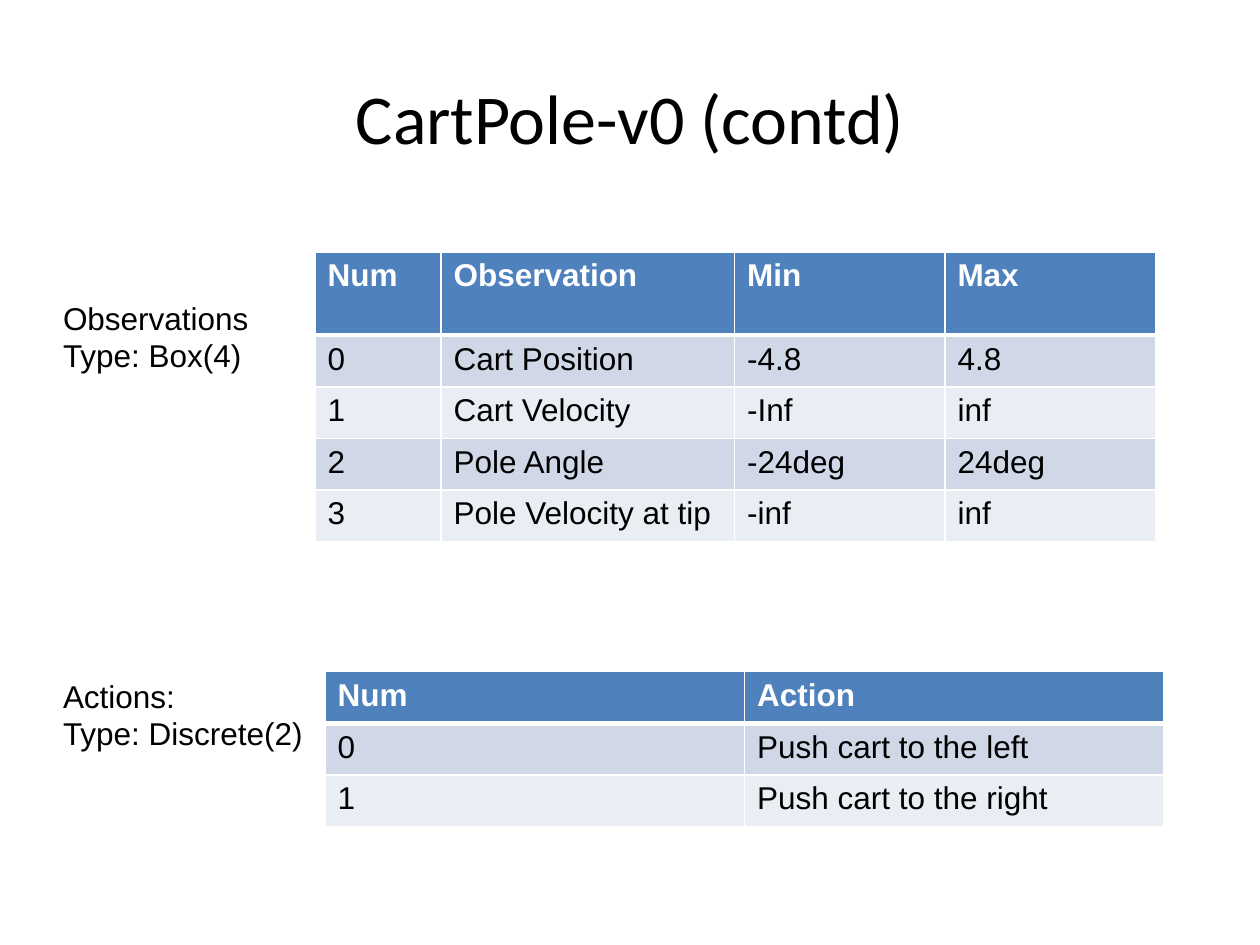
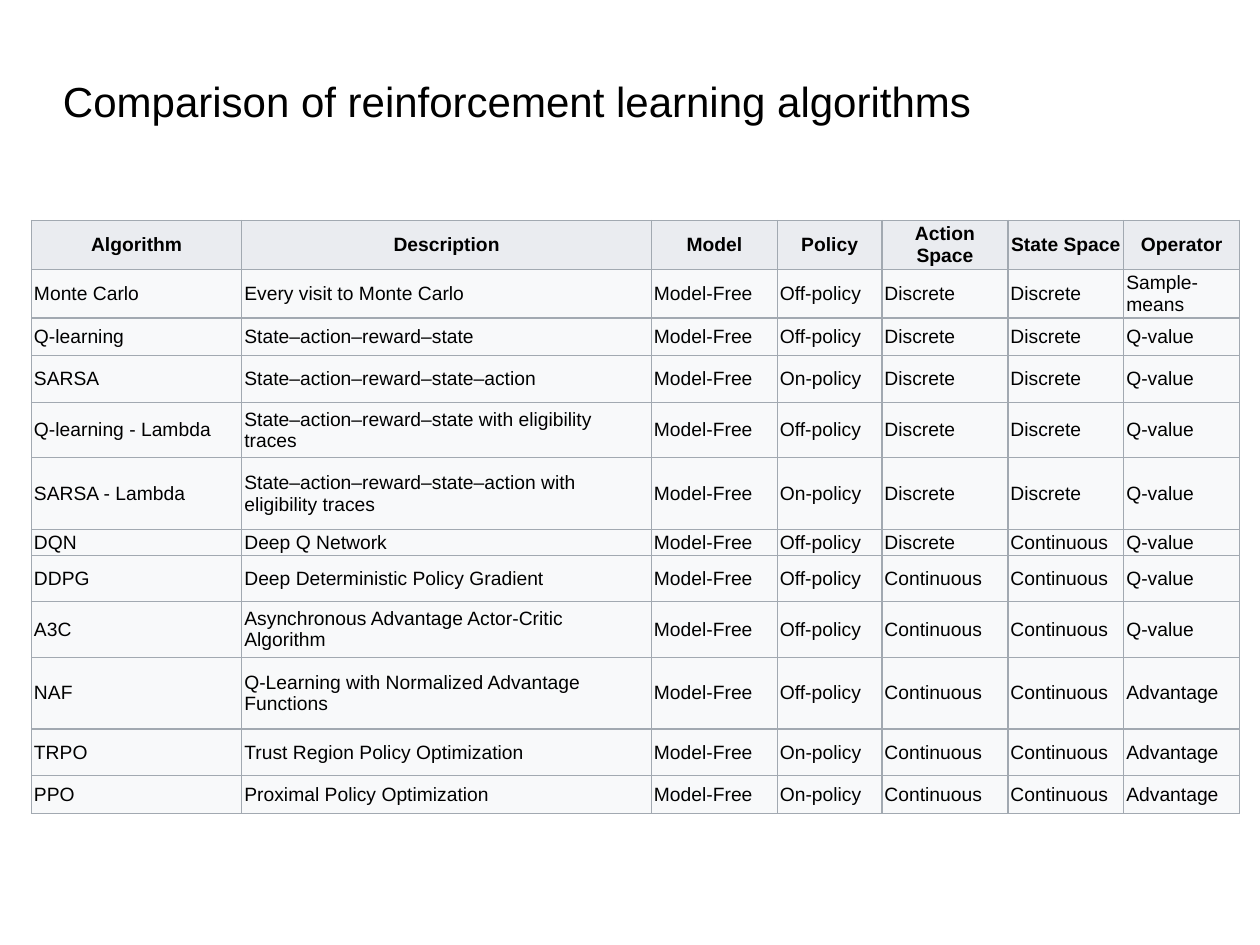
from dataclasses import dataclass

from lxml import etree
from pptx import Presentation
from pptx.dml.color import RGBColor
from pptx.enum import text
from pptx.oxml import ns
from pptx.util import Inches, Pt


# Colours, fonts and type sizes
@dataclass(frozen=True)
class Theme:
    body_font: str = "Arial"
    title_font: str = "Calibri"
    ink: str = "000000"
    white: str = "FFFFFF"
    blue: str = "4F81BD"
    bands: tuple = ("D0D8E8", "E9EDF4")
    grey_head: str = "EAECF0"
    grey_body: str = "F8F9FA"
    grey_line: str = "A2A9B1"
    title_size: int = 40
    subtitle_size: int = 24
    body_size: int = 18
    small_size: int = 11
    label_leading: float = 21.6


THEME = Theme()


@dataclass(frozen=True)
class TableStyle:
    size: int
    head_ink: str
    head_fill: str
    body_fills: tuple
    line: str
    line_width: float
    head_rule: float
    margins: tuple  # left/right, top/bottom
    anchor: text.MSO_ANCHOR
    head_align: text.PP_ALIGN


BLUE_TABLE = TableStyle(
    THEME.body_size, THEME.white, THEME.blue, THEME.bands, THEME.white, 1, 3,
    (0.1, 0.05), text.MSO_ANCHOR.TOP, text.PP_ALIGN.LEFT)
GREY_TABLE = TableStyle(
    THEME.small_size, THEME.ink, THEME.grey_head, (THEME.grey_body,), THEME.grey_line,
    0.75, 0.75, (0.02, 0.01), text.MSO_ANCHOR.MIDDLE, text.PP_ALIGN.CENTER)

# Slide content
OBSERVATIONS = [
    ("Num", "Observation", "Min", "Max"),
    ("0", "Cart Position", "-4.8", "4.8"),
    ("1", "Cart Velocity", "-Inf", "inf"),
    ("2", "Pole Angle", "-24deg", "24deg"),
    ("3", "Pole Velocity at tip", "-inf", "inf"),
]
ACTIONS = [
    ("Num", "Action"),
    ("0", "Push cart to the left"),
    ("1", "Push cart to the right"),
]
ALGORITHMS = [
    ("Algorithm", "Description", "Model", "Policy", "Action Space", "State Space", "Operator"),
    ("Monte Carlo", "Every visit to Monte Carlo",
     "Model-Free", "Off-policy", "Discrete", "Discrete", "Sample-means"),
    ("Q-learning", "State–action–reward–state",
     "Model-Free", "Off-policy", "Discrete", "Discrete", "Q-value"),
    ("SARSA", "State–action–reward–state–action",
     "Model-Free", "On-policy", "Discrete", "Discrete", "Q-value"),
    ("Q-learning - Lambda", "State–action–reward–state with eligibility traces",
     "Model-Free", "Off-policy", "Discrete", "Discrete", "Q-value"),
    ("SARSA - Lambda", "State–action–reward–state–action with eligibility traces",
     "Model-Free", "On-policy", "Discrete", "Discrete", "Q-value"),
    ("DQN", "Deep Q Network",
     "Model-Free", "Off-policy", "Discrete", "Continuous", "Q-value"),
    ("DDPG", "Deep Deterministic Policy Gradient",
     "Model-Free", "Off-policy", "Continuous", "Continuous", "Q-value"),
    ("A3C", "Asynchronous Advantage Actor-Critic Algorithm",
     "Model-Free", "Off-policy", "Continuous", "Continuous", "Q-value"),
    ("NAF", "Q-Learning with Normalized Advantage Functions",
     "Model-Free", "Off-policy", "Continuous", "Continuous", "Advantage"),
    ("TRPO", "Trust Region Policy Optimization",
     "Model-Free", "On-policy", "Continuous", "Continuous", "Advantage"),
    ("PPO", "Proximal Policy Optimization",
     "Model-Free", "On-policy", "Continuous", "Continuous", "Advantage"),
]
ALGORITHM_HEIGHTS = [0.37, 0.37, 0.3, 0.37, 0.44, 0.57, 0.19, 0.37, 0.44, 0.57, 0.37, 0.3]


# Text
def add_run(p, content, size, font=THEME.body_font, color=THEME.ink, bold=False):
    r = p.add_run()
    r.text = content
    r.font.size = Pt(size)
    r.font.name = font
    r.font.bold = bold
    r.font.color.rgb = RGBColor.from_string(color)


def add_box(slide, left, top, width, height):
    tf = slide.shapes.add_textbox(*map(Inches, (left, top, width, height))).text_frame
    tf.word_wrap = True
    tf.margin_left = tf.margin_right = tf.margin_top = tf.margin_bottom = 0
    return tf


def add_title(slide, content, size, font, align, bottom_inset=0.0):
    tf = add_box(slide, 0.5, 0.3, 9, 1.25)
    tf.vertical_anchor = text.MSO_ANCHOR.MIDDLE
    tf.margin_bottom = Inches(bottom_inset)
    p = tf.paragraphs[0]
    p.alignment = align
    add_run(p, content, size, font)


def add_label(slide, top, lines):
    tf = add_box(slide, 0.5, top, 1.95, 0.6)
    for i, line in enumerate(lines):
        p = tf.add_paragraph() if i else tf.paragraphs[0]
        p.line_spacing = Pt(THEME.label_leading)
        add_run(p, line, THEME.body_size)


# Tables
def set_borders(cell, color, widths):
    """Draw the left, right, top and bottom border of a cell."""
    tc_pr = cell._tc.get_or_add_tcPr()
    for i, (side, width) in enumerate(zip("LRTB", widths)):
        ln = etree.Element(ns.qn(f"a:ln{side}"), w=str(Pt(width)))
        fill = etree.SubElement(ln, ns.qn("a:solidFill"))
        etree.SubElement(fill, ns.qn("a:srgbClr"), val=color)
        tc_pr.insert(i, ln)


def fill_cell(cell, content, row, style):
    is_head = row == 0
    side, edge = map(Inches, style.margins)
    cell.margin_left = cell.margin_right = side
    cell.margin_top = cell.margin_bottom = edge
    cell.vertical_anchor = style.anchor
    color = style.head_fill if is_head else style.body_fills[(row - 1) % len(style.body_fills)]
    cell.fill.solid()
    cell.fill.fore_color.rgb = RGBColor.from_string(color)
    p = cell.text_frame.paragraphs[0]
    p.alignment = style.head_align if is_head else text.PP_ALIGN.LEFT
    add_run(p, content, style.size, color=style.head_ink if is_head else THEME.ink, bold=is_head)
    thin = style.line_width
    set_borders(cell, style.line, (thin, thin,
                                   style.head_rule if row == 1 else thin,
                                   style.head_rule if is_head else thin))


def add_grid(slide, left, top, widths, heights, rows, style):
    frame = slide.shapes.add_table(
        len(rows), len(widths), Inches(left), Inches(top),
        Inches(sum(widths)), Inches(sum(heights)))
    table = frame.table
    table.first_row = table.horz_banding = False
    for column, width in zip(table.columns, widths):
        column.width = Inches(width)
    for i, (height, values) in enumerate(zip(heights, rows)):
        table.rows[i].height = Inches(height)
        for j, value in enumerate(values):
            fill_cell(table.cell(i, j), value, i, style)


# Slides
def build_cartpole(slide):
    add_title(slide, "CartPole-v0 (contd)", THEME.title_size, THEME.title_font,
              text.PP_ALIGN.CENTER)
    add_label(slide, 2.37, ("Observations", "Type: Box(4)"))
    add_grid(slide, 2.5, 2, (1, 2.33, 1.67, 1.67), [0.66] + [0.41] * 4,
             OBSERVATIONS, BLUE_TABLE)
    add_label(slide, 5.37, ("Actions:", "Type: Discrete(2)"))
    add_grid(slide, 2.58, 5.33, (3.33, 3.33), [0.41] * 3, ACTIONS, BLUE_TABLE)


def build_comparison(slide):
    add_title(slide, "Comparison of reinforcement learning algorithms", THEME.subtitle_size,
              THEME.body_font, text.PP_ALIGN.LEFT, bottom_inset=0.26)
    add_grid(slide, 0.25, 1.75, (1.67, 3.25, 1, 0.83, 1, 0.92, 0.92), ALGORITHM_HEIGHTS,
             ALGORITHMS, GREY_TABLE)


def main():
    prs = Presentation()
    prs.slide_width, prs.slide_height = Inches(10), Inches(7.5)
    for build in (build_cartpole, build_comparison):
        build(prs.slides.add_slide(prs.slide_layouts[6]))
    prs.save("out.pptx")


if __name__ == "__main__":
    main()
